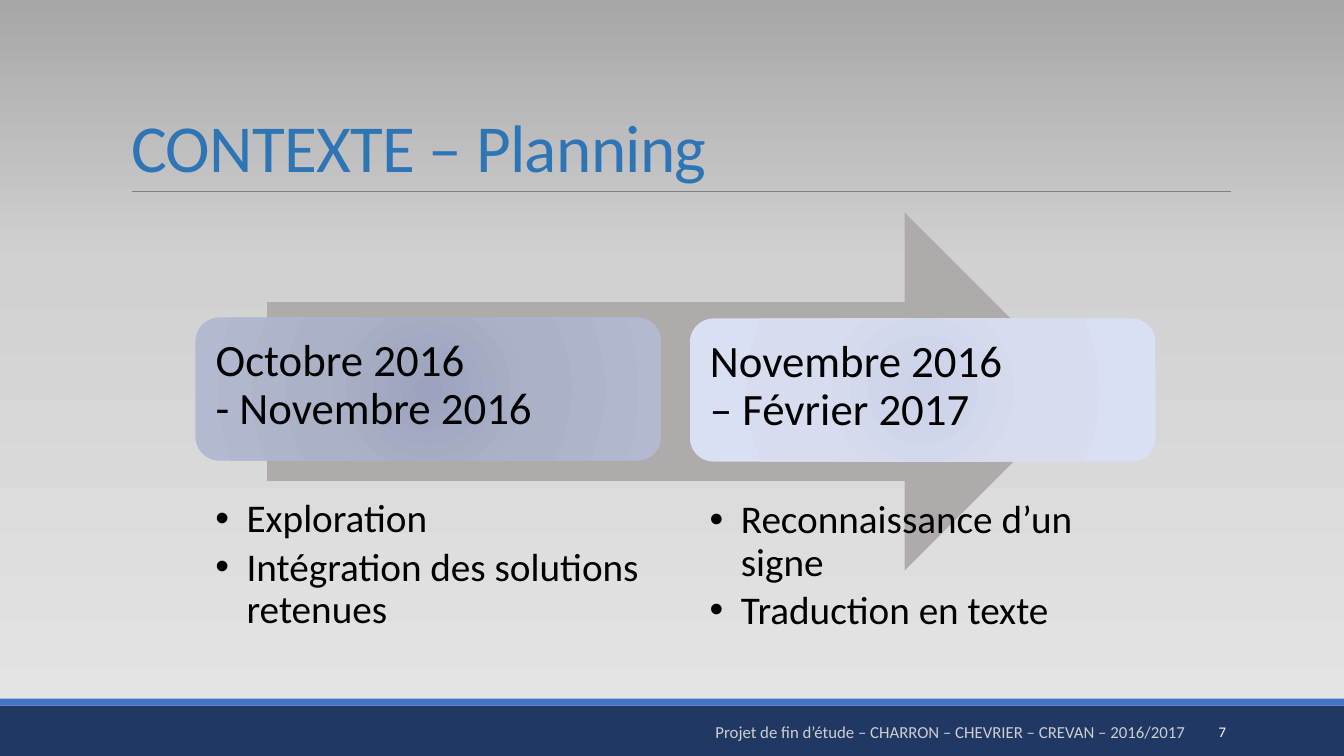
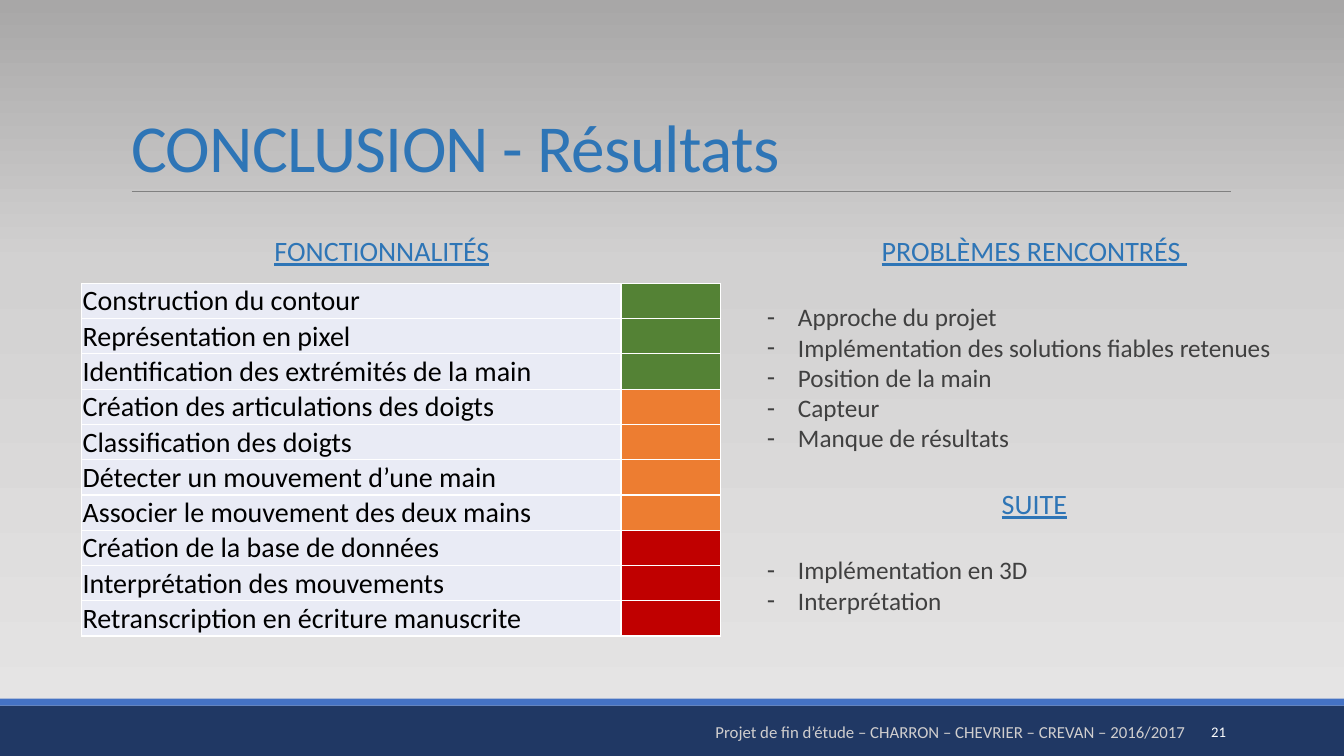
from lxml.etree import SubElement
from pptx import Presentation
from pptx.dml.color import RGBColor
from pptx.enum.shapes import MSO_CONNECTOR as Connector, MSO_SHAPE as Preset
from pptx.enum.text import MSO_ANCHOR as Anchor, MSO_AUTO_SIZE as AutoSize, PP_ALIGN as Align
from pptx.oxml.ns import qn
from pptx.util import Inches, Pt

NAVY = RGBColor(0x20, 0x38, 0x64)
BLUE = RGBColor(0x44, 0x72, 0xC4)
HEADING = RGBColor(0x2E, 0x75, 0xB6)
RULE = RGBColor(0x80, 0x80, 0x80)
ARROW = RGBColor(0xAF, 0xAB, 0xAB)
FOOTER = RGBColor(0xD0, 0xCE, 0xCE)
BODY = RGBColor(0x40, 0x40, 0x40)
BLACK = RGBColor(0, 0, 0)
WHITE = RGBColor(0xFF, 0xFF, 0xFF)
CELL = RGBColor(0xE9, 0xEB, 0xF5)
GREEN = RGBColor(0x54, 0x82, 0x35)
ORANGE = RGBColor(0xED, 0x7D, 0x31)
RED = RGBColor(0xC0, 0, 0)


def shades(*codes):
    return [RGBColor.from_string(code) for code in codes]


BACKDROP = list(zip((0, 65, 100), shades("E7E6E6", "D2D1D1", "A8A7A7")))
SLATE = list(zip((0, 45, 100), shades("9BA3BE", "ABB2C8", "B2B9D1")))
LAVENDER = list(zip((0, 45, 100), shades("CCD2E7", "D7DDEF", "DAE0F3")))

FONT = "Calibri"
CREDIT = "Projet de fin d’étude – CHARRON – CHEVRIER – CREVAN – 2016/2017"
TWO_CONTENT = 3
INDENT = Inches(0.31)

PHASES = [
    ("Octobre 2016\v- Novembre 2016", SLATE,
     ["Exploration", "Intégration des solutions retenues"]),
    ("Novembre 2016\v– Février 2017", LAVENDER,
     ["Reconnaissance d’un signe", "Traduction en texte"]),
]
FEATURES = [
    (GREEN, ["Construction du contour", "Représentation en pixel",
             "Identification des extrémités de la main"]),
    (ORANGE, ["Création des articulations des doigts", "Classification des doigts",
              "Détecter un mouvement d’une main", "Associer le mouvement des deux mains"]),
    (RED, ["Création de la base de données", "Interprétation des mouvements",
           "Retranscription en écriture manuscrite"]),
]
NOTES = [
    ("PROBLÈMES RENCONTRÉS ", 30.27, 30.53,
     ["Approche du projet", "Implémentation des solutions fiables retenues",
      "Position de la main", "Capteur", "Manque de résultats"]),
    ("SUITE", 63.73, 18.4, ["Implémentation en 3D", "Interprétation"]),
]


def set_gradient(fill, element, stops, circular=False):
    fill.gradient()
    gradient = next(element.iter(qn("a:gradFill")))
    for child in list(gradient):
        gradient.remove(child)
    stop_list = SubElement(gradient, qn("a:gsLst"))
    for position, color in stops:
        stop = SubElement(stop_list, qn("a:gs"), pos=str(position * 1000))
        SubElement(stop, qn("a:srgbClr"), val=str(color))
    if circular:
        route = SubElement(gradient, qn("a:path"), path="circle")
        SubElement(route, qn("a:fillToRect"), {side: "50000" for side in "ltrb"})
    else:
        SubElement(gradient, qn("a:lin"), ang="16200000", scaled="0")


def set_bullet(paragraph, mark=None):
    properties = paragraph._p.get_or_add_pPr()
    properties.set("marL", str(INDENT if mark else 0))
    properties.set("indent", str(-INDENT if mark else 0))
    if mark:
        SubElement(properties, qn("a:buChar"), char=mark)
    else:
        SubElement(properties, qn("a:buNone"))


def set_borders(cell, color, width):
    properties = cell._tc.get_or_add_tcPr()
    for side in ("lnL", "lnR", "lnT", "lnB"):
        line = SubElement(properties, qn(f"a:{side}"), w=str(Pt(width)))
        SubElement(SubElement(line, qn("a:solidFill")), qn("a:srgbClr"), val=str(color))


class SlideBuilder:
    def __init__(self):
        self.deck = Presentation()
        self.deck.slide_width = Inches(13.33)
        self.deck.slide_height = Inches(7.5)
        self.page = None
        master = self.deck.slide_master
        set_gradient(master.background.fill, master.element, BACKDROP)

    def x(self, percent):
        return round(self.deck.slide_width * percent / 100)

    def y(self, percent):
        return round(self.deck.slide_height * percent / 100)

    def area(self, left, top, width, height):
        return self.x(left), self.y(top), self.x(width), self.y(height)

    def style(self, paragraph, size, color, align=Align.LEFT, underline=None, spacing=1.0, after=0):
        paragraph.alignment = align
        paragraph.line_spacing = spacing
        paragraph.space_before = Pt(0)
        paragraph.space_after = Pt(after)
        font = paragraph.font
        font.name, font.size, font.underline = FONT, Pt(size), underline
        font.color.rgb = color

    def start(self, title, number):
        self.page = self.deck.slides.add_slide(self.deck.slide_layouts[TWO_CONTENT])
        self.shape(Preset.RECTANGLE, (0, 93.33, 100, 6.67), NAVY)
        self.shape(Preset.RECTANGLE, (0, 92.4, 100, 0.93), BLUE)
        self.rule(9.82, 91.57, 25.33)
        self.title(title)
        self.text(number, (81.22, 94.13, 10.73, 5.33), 10.5, WHITE, Align.RIGHT, anchor=Anchor.MIDDLE)
        self.text(CREDIT, (5.18, 94.8, 83.78, 4), 12, FOOTER, Align.RIGHT)

    def shape(self, preset, place, fill):
        shape = self.page.shapes.add_shape(preset, *self.area(*place))
        shape.shadow.inherit = False
        shape.line.fill.background()
        if isinstance(fill, RGBColor):
            shape.fill.solid()
            shape.fill.fore_color.rgb = fill
        else:
            set_gradient(shape.fill, shape.element, fill, circular=True)
        return shape

    def rule(self, left, right, top):
        line = self.page.shapes.add_connector(
            Connector.STRAIGHT, self.x(left), self.y(top), self.x(right), self.y(top))
        line.line.color.rgb = RULE
        line.line.width = Pt(0.5)
        SubElement(line.element.spPr, qn("a:effectLst"))

    def place(self, holder, place):
        holder.left, holder.top, holder.width, holder.height = self.area(*place)
        holder.element.getparent().append(holder.element)
        frame = holder.text_frame
        frame.auto_size = AutoSize.NONE
        frame.word_wrap = True
        return frame

    def title(self, text):
        frame = self.place(self.page.shapes.title, (9, 4.13, 82.5, 21.2))
        frame.vertical_anchor = Anchor.BOTTOM
        frame.text = text
        paragraph = frame.paragraphs[0]
        self.style(paragraph, 48, HEADING, spacing=0.85)
        for span in paragraph.runs:
            span._r.get_or_add_rPr().set("spc", "-50")

    def text(self, text, place, size, color, align, anchor=Anchor.TOP, underline=None):
        box = self.page.shapes.add_textbox(*self.area(*place))
        frame = box.text_frame
        frame.word_wrap = True
        frame.vertical_anchor = anchor
        frame.text = text
        self.style(frame.paragraphs[0], size, color, align, underline)

    def inset(self, frame):
        frame.margin_left = frame.margin_right = Inches(0.13)
        frame.margin_top = frame.margin_bottom = Inches(0.13)

    def card(self, text, place, fill):
        frame = self.shape(Preset.ROUNDED_RECTANGLE, place, fill).text_frame
        frame.word_wrap = True
        frame.vertical_anchor = Anchor.TOP
        self.inset(frame)
        frame.text = text
        self.style(frame.paragraphs[0], 32, BLACK, spacing=0.9)

    def bullets(self, index, items, place):
        frame = self.place(self.page.placeholders[index], place)
        self.inset(frame)
        frame.text = "\n".join(items)
        for paragraph in frame.paragraphs:
            set_bullet(paragraph, "•")
            self.style(paragraph, 28, BLACK, spacing=0.9, after=4.2)

    def notes(self, index, heading, items, place):
        frame = self.place(self.page.placeholders[index], place)
        frame.text = "\n".join([heading, *items])
        first, *others = frame.paragraphs
        set_bullet(first)
        self.style(first, 20, HEADING, Align.CENTER, underline=True, after=24.4)
        for paragraph in others:
            set_bullet(paragraph, "-")
            self.style(paragraph, 18, BODY, Align.JUSTIFY)

    def status_table(self, groups, left, top, widths, row_height):
        rows = [(label, color) for color, labels in groups for label in labels]
        place = self.area(left, top, sum(widths), row_height * len(rows))
        table = self.page.shapes.add_table(len(rows), len(widths), *place).table
        table.first_row = table.horz_banding = False
        for column, width in zip(table.columns, widths):
            column.width = self.x(width)
        for row, (label, color) in zip(table.rows, rows):
            row.height = self.y(row_height)
            for cell, fill in zip(row.cells, (CELL, color)):
                cell.margin_left = cell.margin_right = cell.margin_top = Inches(0.01)
                cell.margin_bottom = 0
                cell.vertical_anchor = Anchor.MIDDLE
                set_borders(cell, WHITE, 1)
                cell.fill.solid()
                cell.fill.fore_color.rgb = fill
            row.cells[0].text = label
            self.style(row.cells[0].text_frame.paragraphs[0], 20, BLACK)


def build_planning(builder):
    builder.start("CONTEXTE – Planning", "7")
    builder.shape(Preset.RIGHT_ARROW, (19.88, 28.13, 60.75, 47.33), ARROW)
    for order, (period, fill, tasks) in enumerate(PHASES):
        left, drop = 14.55 + 36.78 * order, 0.13 * order
        builder.card(period, (left, 42 + drop, 34.65, 18.93), fill)
        builder.bullets(order + 1, tasks, (left + 0.5, 64.27 + drop, 33.6, 22.67))


def build_results(builder):
    builder.start("CONCLUSION - Résultats", "21")
    builder.text("FONCTIONNALITÉS", (4.65, 30.27, 47.55, 5.33), 20, HEADING, Align.CENTER, underline=True)
    builder.status_table(FEATURES, 6.07, 37.47, (40.13, 7.43), 4.67)
    for index, (heading, top, height, items) in enumerate(NOTES, 1):
        builder.notes(index, heading, items, (56.3, top, 41.33, height))


def main():
    builder = SlideBuilder()
    build_planning(builder)
    build_results(builder)
    builder.deck.save("out.pptx")


if __name__ == "__main__":
    main()
